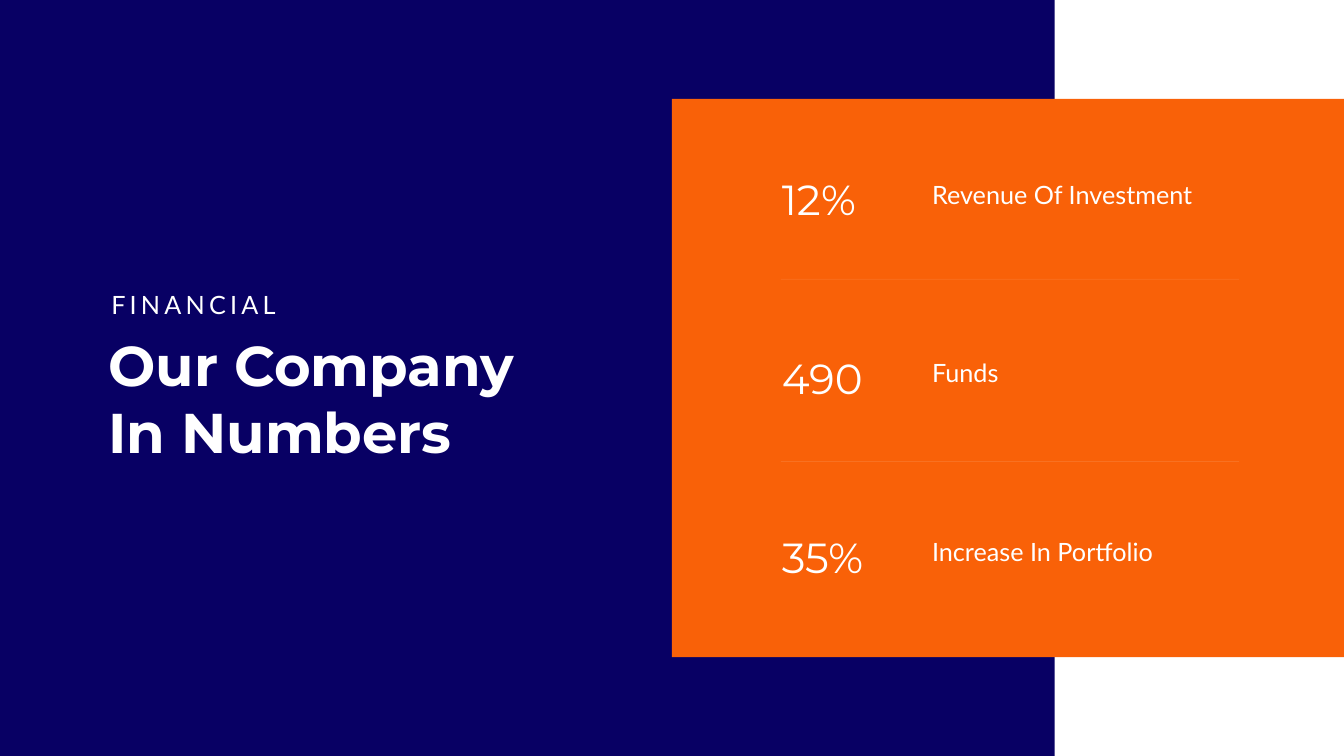
from lxml import etree
from pptx import Presentation
from pptx import util as u
from pptx.dml.color import RGBColor
from pptx.enum import shapes, text
from pptx.oxml.ns import qn

HUES = {"navy": "080064", "flame": "F96108", "white": "FFFFFF"}
FONTS = {"head": "Montserrat", "body": "Lato"}


class Deck:
    def __init__(self, wide, high):
        self.prs = Presentation()
        self.prs.slide_width = u.Inches(wide)
        self.prs.slide_height = u.Inches(high)
        self.slide = self.prs.slides.add_slide(self.prs.slide_layouts[5])

    def x(self, share):
        return round(self.prs.slide_width * share / 100)

    def y(self, share):
        return round(self.prs.slide_height * share / 100)

    def frame(self, left, top, width, height):
        return self.x(left), self.y(top), self.x(width), self.y(height)

    def panel(self, box, hue):
        shape = self.slide.shapes.add_shape(
            shapes.MSO_SHAPE.RECTANGLE, *self.frame(*box))
        shape.shadow.inherit = False
        shape.fill.solid()
        shape.fill.fore_color.rgb = RGBColor.from_string(HUES[hue])
        shape.line.fill.background()

    def style(self, shape, words, font, size, bold=False, gap=0):
        frame = shape.text_frame
        frame.text = words
        frame.word_wrap = True
        frame.auto_size = text.MSO_AUTO_SIZE.NONE
        frame.vertical_anchor = text.MSO_ANCHOR.TOP
        line = frame.paragraphs[0]
        line.alignment = text.PP_ALIGN.LEFT
        run = line.runs[0]
        run.font.name = FONTS[font]
        run.font.size = u.Pt(size)
        run.font.bold = bold
        run.font.color.rgb = RGBColor.from_string(HUES["white"])
        if gap:
            run.font._element.set("spc", str(gap * 100))

    def title(self, box, words):
        shape = self.slide.shapes.title
        shape.left, shape.top, shape.width, shape.height = self.frame(*box)
        self.style(shape, words, "head", 80, bold=True)
        tree = shape.element.getparent()
        tree.append(shape.element)

    def label(self, box, words, font, size, gap=0):
        shape = self.slide.shapes.add_textbox(*self.frame(*box))
        self.style(shape, words, font, size, gap=gap)

    def rule(self, left, right, top):
        line = self.slide.shapes.add_connector(
            shapes.MSO_CONNECTOR.STRAIGHT,
            self.x(left), self.y(top), self.x(right), self.y(top))
        line.line.width = u.Pt(1)
        line.line.color.rgb = RGBColor.from_string(HUES["white"])
        props = line.element.spPr
        tone = props.find(".//" + qn("a:srgbClr"))
        etree.SubElement(tone, qn("a:alpha")).set("val", "10000")
        etree.SubElement(props, qn("a:effectLst"))


def main():
    deck = Deck(26.66, 15)
    deck.panel((0, 0, 78.47, 100), "navy")
    deck.panel((50, 13.07, 50, 73.87), "flame")
    deck.title((7.69, 43.4, 32.71, 18.6), "Our Company In Numbers")
    deck.label((7.91, 38, 13.8, 4.73), "FINANCIAL", "body", 36, gap=6)

    stats = [
        ("12%", "Revenue Of Investment", 20.97),
        ("490", "Funds", 18.04),
        ("35%", "Increase In Portfolio", 20.97),
    ]
    for row, (count, name, width) in enumerate(stats):
        top = 22.67 + row * 23.63
        deck.label((57.8, top, 8.29, 7.4), count, "head", 60)
        deck.label((68.98, top + 0.67, width, 4.73), name, "body", 36)
    for row in range(len(stats) - 1):
        deck.rule(58.1, 92.2, 36.93 + row * 24.13)

    deck.prs.save("out.pptx")


if __name__ == "__main__":
    main()
